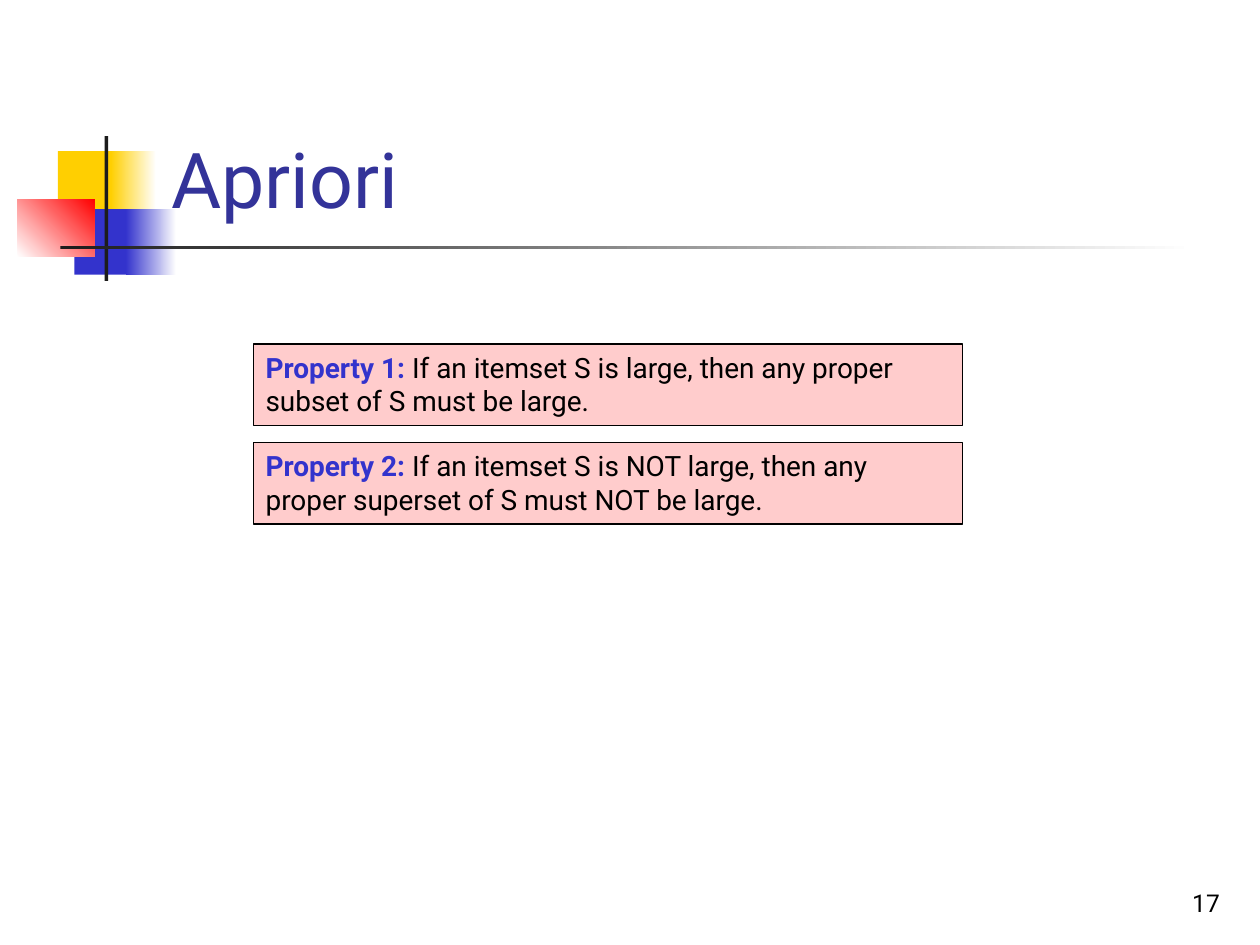
from pptx import Presentation
from pptx.dml.color import RGBColor
from pptx.enum.shapes import MSO_SHAPE
from pptx.enum.text import MSO_ANCHOR, MSO_AUTO_SIZE, PP_ALIGN
from pptx.util import Inches, Pt

FONT = "Roboto"
YELLOW, BLUE, RED = "FFCF01", "3333CC", "FF0000"
WHITE, BLACK, DARK = "FFFFFF", "000000", "1C1C1C"
PINK, NAVY = "FFCCCC", "333399"


def color(value):
    return RGBColor.from_string(value)


def place(shape, left, top, width, height):
    bounds = {"left": left, "top": top, "width": width, "height": height}
    for name, value in bounds.items():
        setattr(shape, name, Inches(value))


def add_rectangle(page, box, fill, fade=None, angle=0):
    shape = page.shapes.add_shape(MSO_SHAPE.RECTANGLE, *map(Inches, box))
    shape.shadow.inherit = False
    shape.line.fill.background()
    if fade:
        shape.fill.gradient()
        shape.fill.gradient_angle = angle
        for stop, value, position in zip(shape.fill.gradient_stops, (fill, fade), (0, 1)):
            stop.color.rgb = color(value)
            stop.position = position
    else:
        shape.fill.solid()
        shape.fill.fore_color.rgb = color(fill)
    return shape


def write(frame, spans, size, align=PP_ALIGN.LEFT, **settings):
    settings = {"word_wrap": True, "auto_size": MSO_AUTO_SIZE.NONE, **settings}
    for name, value in settings.items():
        setattr(frame, name, value)
    para = frame.paragraphs[0]
    para.alignment = align
    for text, value, bold in spans:
        span = para.add_run()
        span.text = text
        for name, setting in {"name": FONT, "size": Pt(size), "bold": bold}.items():
            setattr(span.font, name, setting)
        span.font.color.rgb = color(value)


def add_ornament(page, left, top):
    parts = [
        ((0.32, 0.12, 0.48, 0.52), YELLOW, None, 0),
        ((0.74, 0.12, 0.36, 0.52), YELLOW, WHITE, 0),
        ((0.45, 0.58, 0.46, 0.52), BLUE, None, 0),
        ((0.86, 0.58, 0.4, 0.52), BLUE, WHITE, 0),
        ((0, 0.5, 0.61, 0.46), WHITE, RED, 45),
        ((0.69, 0, 0.03, 1.15), DARK, None, 0),
        ((0.34, 0.87, 9, 0.03), DARK, WHITE, 0),
    ]
    for (x, y, width, height), fill, fade, angle in parts:
        add_rectangle(page, (left + x, top + y, width, height), fill, fade, angle)


def add_title(page, box, text):
    title = page.shapes.title
    place(title, *box)
    write(title.text_frame, [(text, NAVY, False)], 44, vertical_anchor=MSO_ANCHOR.BOTTOM)
    page.shapes.element.append(title.element)


def add_page_number(page, box, number):
    label = page.shapes.add_textbox(*map(Inches, box))
    write(label.text_frame, [(number, BLACK, False)], 14, PP_ALIGN.RIGHT,
          vertical_anchor=MSO_ANCHOR.BOTTOM)


def add_properties(page, left, top, width, statements):
    height, pitch = 0.65, 0.78
    for index, statement in enumerate(statements):
        panel = add_rectangle(page, (left, top + index * pitch, width, height), PINK)
        panel.line.color.rgb = color(BLACK)
        panel.line.width = Pt(0.75)
        spans = [(f"Property {index + 1}: ", BLUE, True), (statement, BLACK, False)]
        write(panel.text_frame, spans, 16, vertical_anchor=MSO_ANCHOR.TOP,
              auto_size=MSO_AUTO_SIZE.SHAPE_TO_FIT_TEXT)


def main():
    deck = Presentation()
    deck.slide_width, deck.slide_height = Inches(10), Inches(7.5)
    page = deck.slides.add_slide(deck.slide_layouts[5])
    add_ornament(page, 0.14, 1.08)
    add_page_number(page, (7.7, 6.83, 2.08, 0.5), "17")
    add_title(page, (1.26, 0.23, 8.52, 1.6), "Apriori")
    add_properties(page, 2.01, 2.73, 5.63, [
        "If an itemset S is large, then any proper subset of S must be large.",
        "If an itemset S is NOT large, then any proper superset of S must NOT be large.",
    ])
    deck.save("out.pptx")


if __name__ == "__main__":
    main()
